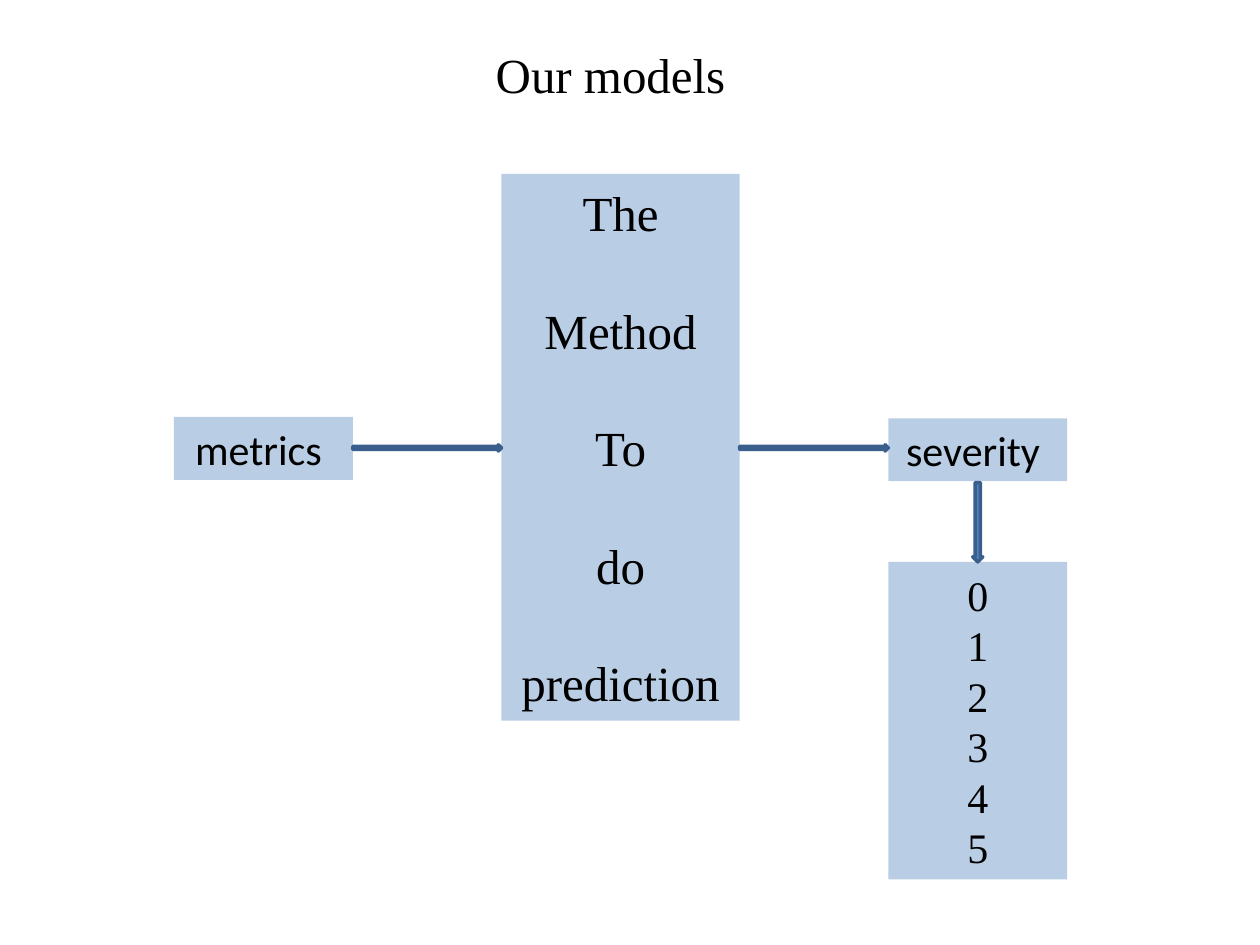
from pptx import Presentation
from pptx import util as u
from pptx.dml.color import RGBColor
from pptx.enum import shapes, text

BLACK = RGBColor(0x00, 0x00, 0x00)
BOX_FILL = RGBColor(0xB9, 0xCD, 0xE5)
ARROW_FILL = RGBColor(0x4F, 0x81, 0xBD)
ARROW_LINE = RGBColor(0x3A, 0x5F, 0x8C)
SERIF = "Times New Roman"
SANS = "Calibri"


def set_text(sp, lines, font, size, pitch=None, gap=0):
    """Write centred lines, with an optional line pitch and gap in points."""
    tf = sp.text_frame
    tf.word_wrap = True
    tf.vertical_anchor = text.MSO_ANCHOR.MIDDLE
    tf.text = "\n".join(lines)
    for i, p in enumerate(tf.paragraphs):
        p.alignment = text.PP_ALIGN.CENTER
        if pitch:
            p.line_spacing = u.Pt(pitch)
        if gap and i:
            p.space_before = u.Pt(gap)
        for r in p.runs:
            r.font.name = font
            r.font.size = u.Pt(size)
            r.font.color.rgb = BLACK


def add_title(s, title):
    """Add the centred slide title."""
    sp = s.shapes.add_textbox(u.Inches(0.67), u.Inches(0.3),
                              u.Inches(8.35), u.Inches(0.57))
    set_text(sp, [title], SERIF, 28)


def add_preset(s, kind, box, fill):
    """Add a filled preset shape without outline or shadow."""
    sp = s.shapes.add_shape(kind, *map(u.Inches, box))
    sp.shadow.inherit = False
    sp.fill.solid()
    sp.fill.fore_color.rgb = fill
    sp.line.fill.background()
    return sp


def add_box(s, box, lines, font, size, **spacing):
    """Add a pale blue box with text."""
    sp = add_preset(s, shapes.MSO_SHAPE.RECTANGLE, box, BOX_FILL)
    set_text(sp, lines, font, size, **spacing)


def add_arrow(s, kind, box):
    """Add an outlined block arrow."""
    sp = add_preset(s, kind, box, ARROW_FILL)
    sp.line.color.rgb = ARROW_LINE
    sp.line.width = u.Pt(2)


def main():
    """Build the slide and save it."""
    prs = Presentation()
    prs.slide_width, prs.slide_height = u.Inches(10), u.Inches(7.5)
    s = prs.slides.add_slide(prs.slide_layouts[6])

    add_title(s, "Our models")
    add_box(s, (1.38, 3.31, 1.42, 0.5), ["metrics "], SANS, 24)
    add_box(s, (7.05, 3.32, 1.42, 0.5), ["severity "], SANS, 24)
    add_box(s, (3.98, 1.38, 1.89, 4.34),
            ["The", "Method", "To", "do", "prediction"],
            SERIF, 28, pitch=33.6, gap=33.6)
    add_box(s, (7.05, 4.46, 1.42, 2.52), [str(n) for n in range(6)],
            SERIF, 24, pitch=28.8)

    for left in (2.8, 5.87):
        add_arrow(s, shapes.MSO_SHAPE.RIGHT_ARROW, (left, 3.53, 1.18, 0.05))
    add_arrow(s, shapes.MSO_SHAPE.DOWN_ARROW, (7.72, 3.83, 0.08, 0.63))

    prs.save("out.pptx")


main()
